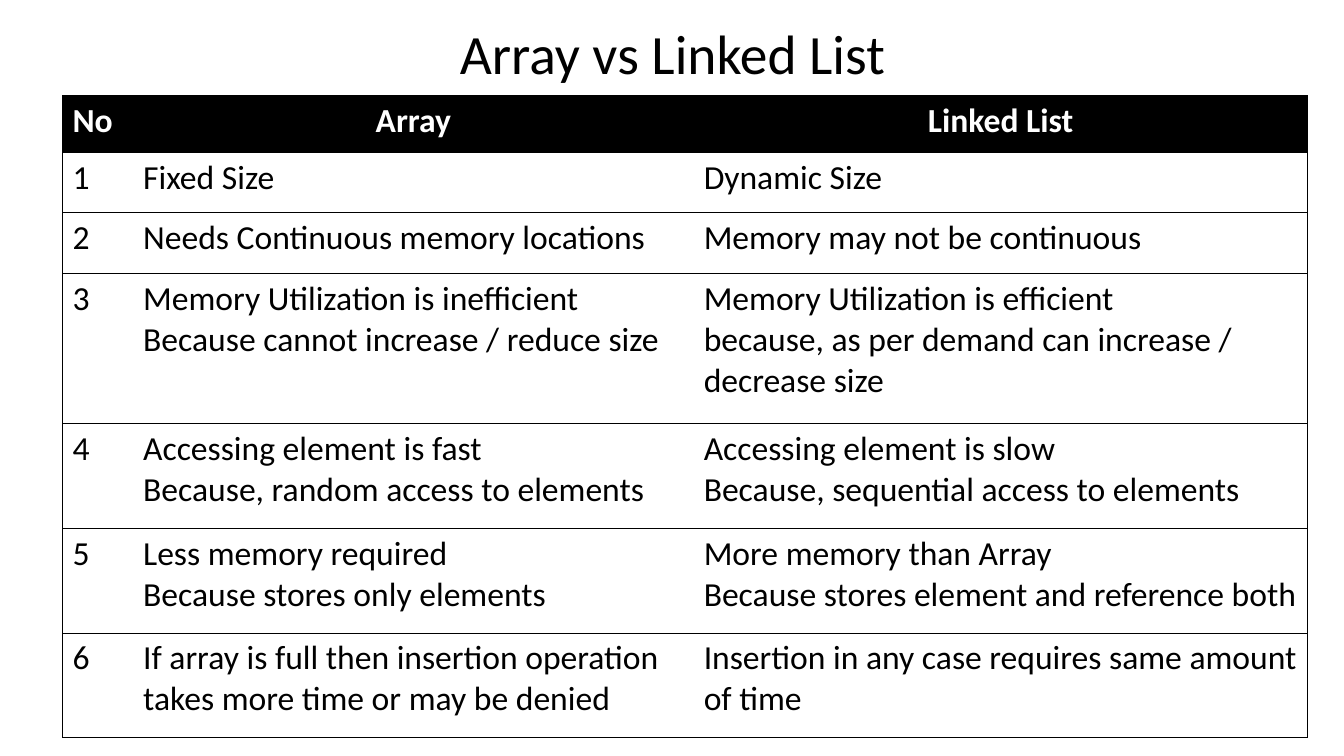
from lxml import etree
from pptx import Presentation
from pptx.dml.color import RGBColor
from pptx.enum.text import MSO_ANCHOR, PP_ALIGN
from pptx.oxml.ns import qn
from pptx.util import Inches, Pt

LEFT, CENTER = PP_ALIGN.LEFT, PP_ALIGN.CENTER
MIDDLE = MSO_ANCHOR.MIDDLE

THEME = {
    "font": "Calibri", "ink": "000000", "paper": "FFFFFF",
    "title": 39.6, "body": 24, "rule": 0.5,
}
TITLE = "Array vs Linked List"
HEADER = ("No", "Array", "Linked List")
COMPARISONS = [
    ("Fixed Size", "Dynamic Size"),
    ("Needs Continuous memory locations", "Memory may not be continuous"),
    ("Memory Utilization is inefficient\nBecause cannot increase / reduce size",
     "Memory Utilization is efficient\n"
     "because, as per demand can increase / decrease size"),
    ("Accessing element is fast\nBecause, random access to elements",
     "Accessing element is slow\nBecause, sequential access to elements"),
    ("Less memory required\nBecause stores only elements",
     "More memory than Array\nBecause stores element and reference both"),
    ("If array is full then insertion operation takes more time or may be denied",
     "Insertion in any case requires same amount of time"),
]
TITLE_BOX = (0.92, 0.19, 11.5, 0.75)
TABLE_CORNER = (0.62, 0.95)
COLUMNS = (0.7, 5.56, 6.09)
ROWS = (0.56, 0.6, 0.6, 1.49, 1.04, 1.04, 1.04)


def write(frame, text, size, color, align=LEFT, bold=False, spacing=None):
    frame.word_wrap = True
    frame.text = text
    for para in frame.paragraphs:
        para.alignment = align
        para.line_spacing = spacing
        formats = {"name": THEME["font"], "size": Pt(size), "bold": bold}
        for span in para.runs:
            for key, value in formats.items():
                setattr(span.font, key, value)
            span.font.color.rgb = RGBColor.from_string(color)


def draw_borders(cell, sides):
    properties = cell._tc.get_or_add_tcPr()
    for index, side in enumerate("LRTB"):
        line = etree.Element(qn(f"a:ln{side}"), w=str(Pt(THEME["rule"])))
        if side in sides:
            fill = etree.SubElement(line, qn("a:solidFill"))
            etree.SubElement(fill, qn("a:srgbClr"), val=THEME["ink"])
        else:
            etree.SubElement(line, qn("a:noFill"))
        properties.insert(index, line)


deck = Presentation()
deck.slide_width, deck.slide_height = Inches(13.33), Inches(7.5)
page = deck.slides.add_slide(deck.slide_layouts[6])

title = page.shapes.add_textbox(*map(Inches, TITLE_BOX)).text_frame
write(title, TITLE, THEME["title"], THEME["ink"], CENTER, spacing=0.9)
title.vertical_anchor = MIDDLE

records = [HEADER] + [(str(number), *pair)
                      for number, pair in enumerate(COMPARISONS, 1)]
area = (*TABLE_CORNER, sum(COLUMNS), sum(ROWS))
table = page.shapes.add_table(len(ROWS), len(COLUMNS), *map(Inches, area)).table
for column, width in zip(table.columns, COLUMNS):
    column.width = Inches(width)
for row, height in zip(table.rows, ROWS):
    row.height = Inches(height)

for row_index, record in enumerate(records):
    heading = row_index == 0
    back, ink = ("ink", "paper") if heading else ("paper", "ink")
    for column_index, text in enumerate(record):
        cell = table.cell(row_index, column_index)
        align = CENTER if heading and column_index else LEFT
        write(cell.text_frame, text, THEME["body"], THEME[ink], align, heading)
        cell.fill.solid()
        cell.fill.fore_color.rgb = RGBColor.from_string(THEME[back])
        left = "L" if column_index == 0 else ""
        right = "R" if column_index == len(COLUMNS) - 1 else ""
        draw_borders(cell, "TB" + left + right)

deck.save("out.pptx")
